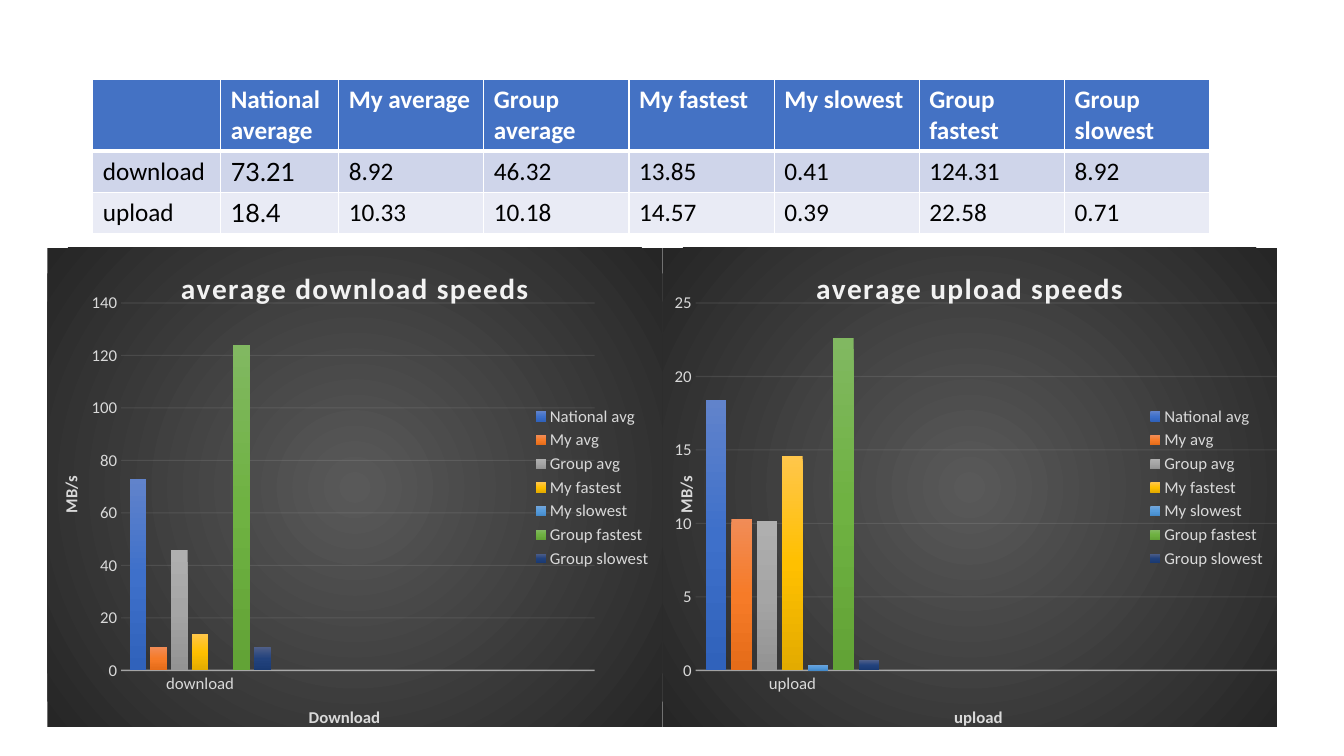
from dataclasses import dataclass
from typing import Any

from lxml.etree import SubElement
from pptx import Presentation
from pptx.chart.data import CategoryChartData
from pptx.dml.color import RGBColor
from pptx.enum.chart import XL_CHART_TYPE, XL_LEGEND_POSITION, XL_TICK_MARK
from pptx.oxml import parse_xml
from pptx.oxml.ns import nsdecls, qn
from pptx.util import Inches, Pt


@dataclass(frozen=True)
class Theme:
    font: str = "Calibri"
    accent: str = "Lato"
    white: str = "FFFFFF"
    black: str = "000000"
    head: str = "4472C4"
    bands: tuple[str, ...] = ("CFD5EA", "E9EBF5")
    pale: str = "F2F2F2"
    label: str = "D9D9D9"
    glow: tuple[str, ...] = ("595959", "262626")
    cell: int = 18
    title: int = 21
    small: int = 12


@dataclass(frozen=True)
class Series:
    name: str
    shades: tuple[str, ...]


@dataclass(frozen=True)
class Panel:
    left: float
    title: str
    group: str
    axis: str
    shift: float
    top: float
    step: float
    plot: tuple[float, ...]
    values: tuple[float, ...]


THEME = Theme()

SERIES = (
    Series("National avg", ("6183CB", "3E70CA", "3062BB")),
    Series("My avg", ("F18C57", "F67B28", "E56C19")),
    Series("Group avg", ("AFAFAF", "A5A5A5", "939393")),
    Series("My fastest", ("FFC64B", "FFC000", "E3AB00")),
    Series("My slowest", ("71A6DB", "559BDB", "448ACA")),
    Series("Group fastest", ("81B861", "6FB242", "62A336")),
    Series("Group slowest", ("516089", "22427D", "1A3A72")),
)

PANELS = (
    Panel(0.47, "average download speeds", "download", "Download", 0.42, 140, 20,
          (0.12, 0.115, 0.77, 0.767), (73, 9, 46, 14, 0, 124, 9)),
    Panel(6.57, "average upload speeds", "upload", "upload", 0.47, 25, 5,
          (0.054, 0.115, 0.946, 0.767), (18.4, 10.3, 10.2, 14.6, 0.4, 22.6, 0.7)),
)

ROWS = (
    ("", "National average", "My average", "Group average", "My fastest",
     "My slowest", "Group fastest", "Group slowest"),
    ("download", "73.21", "8.92", "46.32", "13.85", "0.41", "124.31", "8.92"),
    ("upload", "18.4", "10.33", "10.18", "14.57", "0.39", "22.58", "0.71"),
)
WIDTHS = (1.27, 1.17) + (1.44,) * 6
HEIGHTS = (0.7, 0.41, 0.41)


def style(font: Any, size: int, color: str, bold: bool = False,
          face: str = THEME.font) -> None:
    font.name, font.size, font.bold = face, Pt(size), bold
    font.color.rgb = RGBColor.from_string(color)


def write(frame: Any, text: str, *, size: int, color: str, bold: bool = False,
          face: str = THEME.font, space: int = 0) -> None:
    run = frame.paragraphs[0].add_run()
    run.text = text
    style(run.font, size, color, bold, face)
    if space:
        run.font._element.set("spc", str(space))


def blend(colors: tuple[str, ...], shape: str) -> Any:
    """Gradient with evenly spaced stops."""
    last = len(colors) - 1
    stops = "".join(
        f'<a:gs pos="{100000 * i // last}"><a:srgbClr val="{color}"/></a:gs>'
        for i, color in enumerate(colors))
    return parse_xml(f'<a:gradFill {nsdecls("a")}><a:gsLst>{stops}</a:gsLst>'
                     f'{shape}</a:gradFill>')


def place(node: Any, index: int, **spots: float) -> None:
    """Manual layout, in fractions of the chart."""
    for old in node.findall(qn("c:layout")):
        node.remove(old)
    inner = '<c:layoutTarget val="inner"/>' if "w" in spots else ""
    modes = "".join(f'<c:{key}Mode val="edge"/>' for key in "xy")
    sizes = "".join(f'<c:{key} val="{val}"/>' for key, val in spots.items())
    node.insert(index, parse_xml(
        f'<c:layout {nsdecls("c")}><c:manualLayout>{inner}{modes}{sizes}'
        '</c:manualLayout></c:layout>'))


def stroke(line: Any, width: float, alpha: int) -> None:
    line.width = Pt(width)
    line.color.rgb = RGBColor.from_string(THEME.pale)
    tint = line._ln.find(".//" + qn("a:srgbClr"))
    SubElement(tint, qn("a:alpha")).set("val", str(alpha * 1000))


def edge(cell: Any, head: bool) -> None:
    for i, side in enumerate("LRTB"):
        width = Pt(3 if head and side == "B" else 1)
        cell._tc.get_or_add_tcPr().insert(i, parse_xml(
            f'<a:ln{side} {nsdecls("a")} w="{width}"><a:solidFill>'
            f'<a:srgbClr val="{THEME.white}"/></a:solidFill></a:ln{side}>'))


def add_grid(slide: Any) -> None:
    table = slide.shapes.add_table(
        len(ROWS), len(WIDTHS), Inches(0.92), Inches(0.79),
        Inches(sum(WIDTHS)), Inches(sum(HEIGHTS))).table
    for col, width in zip(table.columns, WIDTHS):
        col.width = Inches(width)
    for r, row in enumerate(ROWS):
        table.rows[r].height = Inches(HEIGHTS[r])
        head = r == 0
        for c, text in enumerate(row):
            cell = table.cell(r, c)
            cell.fill.solid()
            cell.fill.fore_color.rgb = RGBColor.from_string(
                (THEME.head, *THEME.bands)[r])
            edge(cell, head)
            if text:
                write(cell.text_frame, text, size=THEME.cell, bold=head,
                      color=THEME.white if head else THEME.black,
                      face=THEME.accent if c == 1 and not head else THEME.font)


def set_axis(axis: Any, text: str, x: float, y: float) -> None:
    axis.major_tick_mark = axis.minor_tick_mark = XL_TICK_MARK.NONE
    style(axis.tick_labels.font, THEME.small, THEME.label)
    write(axis.axis_title.text_frame, text, size=THEME.small,
          color=THEME.label, bold=True)
    place(axis.axis_title._element, 1, x=x, y=y)


def add_panel(slide: Any, panel: Panel) -> None:
    # Only the first of three groups holds values
    data = CategoryChartData()
    data.categories = [panel.group, "", ""]
    for item, value in zip(SERIES, panel.values):
        data.add_series(item.name, (value, None, None))
    chart = slide.shapes.add_chart(
        XL_CHART_TYPE.COLUMN_CLUSTERED, Inches(panel.left), Inches(2.46),
        Inches(6.1), Inches(4.81), data).chart

    # Dark backdrop
    style(chart.font, 10, THEME.black)
    back = parse_xml(f'<c:spPr {nsdecls("c", "a")}><a:ln><a:noFill/></a:ln></c:spPr>')
    back.insert(0, blend(THEME.glow, '<a:path path="circle"><a:fillToRect l="50000" '
                         't="50000" r="50000" b="50000"/></a:path>'))
    chart._chartSpace.find(qn("c:txPr")).addprevious(back)

    # Title and legend
    write(chart.chart_title.text_frame, panel.title, size=THEME.title,
          color=THEME.pale, bold=True, space=100)
    chart.has_legend = True
    chart.legend.position = XL_LEGEND_POSITION.RIGHT
    chart.legend.include_in_layout = False
    style(chart.legend.font, THEME.small, THEME.label)

    # Axes
    base, scale = chart.category_axis, chart.value_axis
    set_axis(base, panel.axis, panel.shift, 0.95)
    set_axis(scale, "MB/s", 0.015, 0.47)
    stroke(base.format.line, 1, 54)
    scale.format.line.fill.background()
    stroke(scale.major_gridlines.format.line, 0.75, 10)
    scale.minimum_scale, scale.maximum_scale = 0, panel.top
    scale.major_unit = panel.step

    # Columns
    plot = chart.plots[0]
    plot.gap_width, plot.overlap, plot.vary_by_categories = 100, -24, False
    for bar, item in zip(plot.series, SERIES):
        bar._element.get_or_add_spPr().insert(
            0, blend(item.shades, '<a:lin ang="5400000" scaled="0"/>'))
    place(chart._chartSpace.find(".//" + qn("c:plotArea")), 0,
          **dict(zip("xywh", panel.plot)))


def main() -> None:
    deck = Presentation()
    deck.slide_width, deck.slide_height = Inches(13.33), Inches(7.5)
    slide = deck.slides.add_slide(deck.slide_layouts[6])
    add_grid(slide)
    for panel in PANELS:
        add_panel(slide, panel)
    deck.save("out.pptx")


if __name__ == "__main__":
    main()
